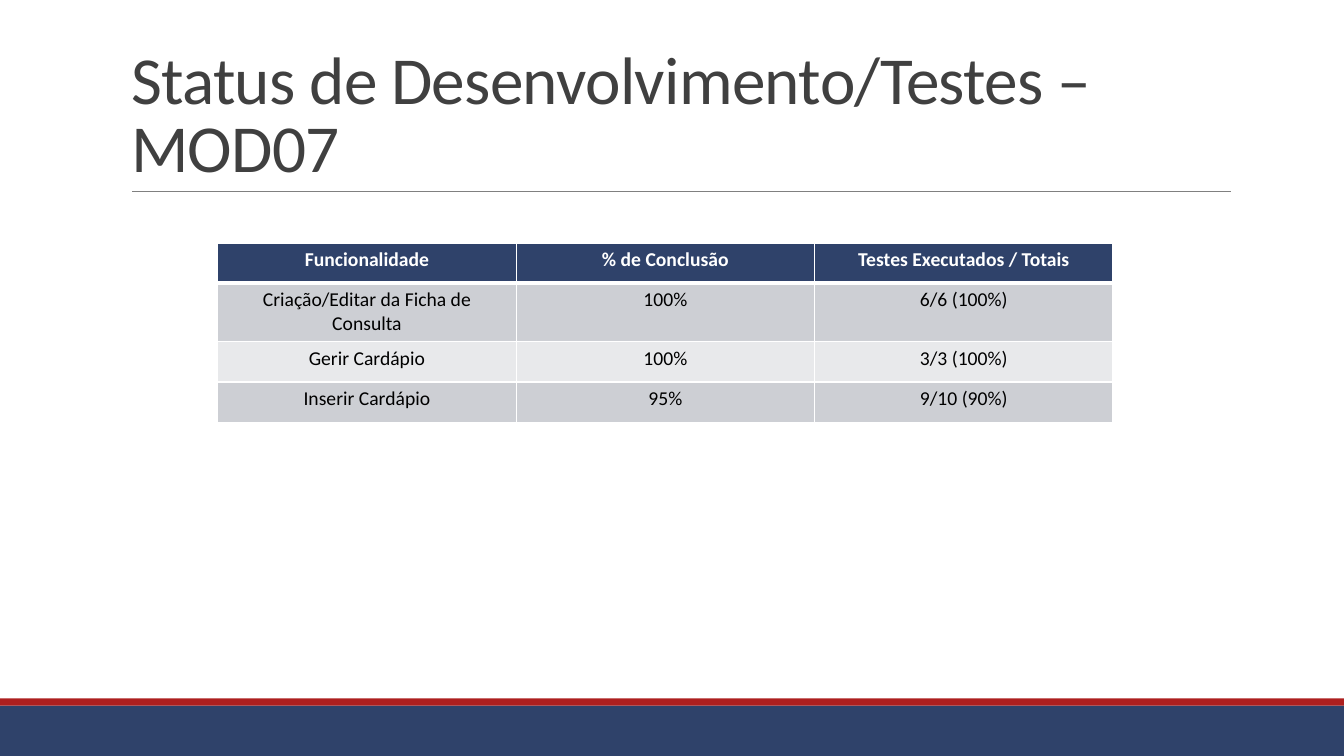
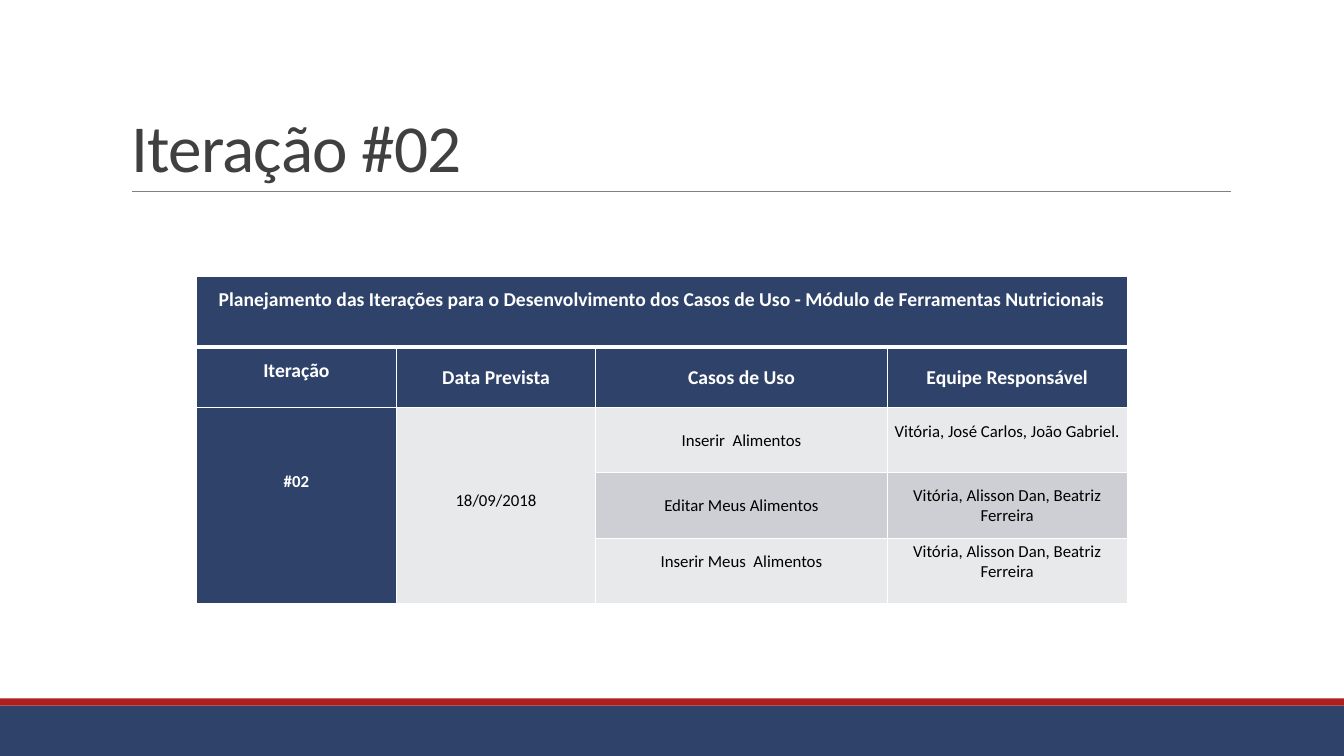
from lxml import etree
from pptx import Presentation
from pptx.dml.color import RGBColor
from pptx.enum.shapes import MSO_CONNECTOR as Connector, MSO_SHAPE as Shape
from pptx.enum.text import MSO_ANCHOR as Anchor, MSO_AUTO_SIZE as AutoSize, PP_ALIGN as Align
from pptx.oxml.ns import qn
from pptx.util import Inches, Pt

NAVY, RED, GRAY, TITLE = "2F426A", "AD1F1F", "808080", "404040"
WHITE, BLACK, DARK_BAND, LIGHT_BAND = "FFFFFF", "000000", "CDCFD4", "E8E9EB"
FONT = "Calibri"
SLIDE_WIDTH, SLIDE_HEIGHT = 13.33, 7.5


def color(value):
    return RGBColor.from_string(value)


class Deck:
    """Hold the shared style and the slide being built."""

    def __init__(self):
        self.presentation = Presentation()
        self.presentation.slide_width = Inches(SLIDE_WIDTH)
        self.presentation.slide_height = Inches(SLIDE_HEIGHT)
        self.slide = None

    def add_slide(self, title):
        layout = self.presentation.slide_layouts[5]
        self.slide = self.presentation.slides.add_slide(layout)
        self.band(7, 0.5, NAVY)
        self.band(6.93, 0.07, RED)
        self.rule(1.31, 12.21, 1.9)
        self.title(title)

    def band(self, top, height, fill):
        shape = self.slide.shapes.add_shape(
            Shape.RECTANGLE, 0, Inches(top), Inches(SLIDE_WIDTH), Inches(height))
        shape.shadow.inherit = False
        shape.fill.solid()
        shape.fill.fore_color.rgb = color(fill)
        shape.line.fill.background()

    def rule(self, left, right, top):
        line = self.slide.shapes.add_connector(
            Connector.STRAIGHT, Inches(left), Inches(top), Inches(right), Inches(top))
        line.line.color.rgb = color(GRAY)
        line.line.width = Pt(0.5)
        etree.SubElement(line._element.spPr, qn("a:effectLst"))

    def title(self, text):
        shape = self.slide.shapes.title
        shape.left, shape.top = Inches(1.2), Inches(0.31)
        shape.width, shape.height = Inches(11), Inches(1.59)
        frame = shape.text_frame
        frame.word_wrap = True
        frame.auto_size = AutoSize.NONE
        frame.vertical_anchor = Anchor.BOTTOM
        paragraph = frame.paragraphs[0]
        paragraph.alignment = Align.LEFT
        paragraph.line_spacing = 0.85
        run = self.run(paragraph, text, 48, TITLE)
        run.font._element.set("spc", "-50")

    def run(self, paragraph, text, size, ink, bold=False):
        run = paragraph.add_run()
        run.text = text
        run.font.name = FONT
        run.font.size = Pt(size)
        run.font.bold = bold
        run.font.color.rgb = color(ink)
        return run

    def table(self, left, top, widths, heights):
        table = self.slide.shapes.add_table(
            len(heights), len(widths), Inches(left), Inches(top),
            Inches(sum(widths)), Inches(sum(heights))).table
        for column, width in zip(table.columns, widths):
            column.width = Inches(width)
        for row, height in zip(table.rows, heights):
            row.height = Inches(height)
        for index, row in enumerate(table.rows):
            for cell in row.cells:
                self.borders(cell, top=3 if index == 1 else 1, bottom=3 if index == 0 else 1)
        return table

    def borders(self, cell, top, bottom):
        properties = cell._tc.get_or_add_tcPr()
        for tag, width in (("a:lnL", 1), ("a:lnR", 1), ("a:lnT", top), ("a:lnB", bottom)):
            line = etree.SubElement(properties, qn(tag), w=str(Pt(width)))
            fill = etree.SubElement(line, qn("a:solidFill"))
            etree.SubElement(fill, qn("a:srgbClr"), val=WHITE)

    def cell(self, cell, text, fill, size=14, anchor=Anchor.TOP, spacing=1.0,
             margins=(0.1, 0.05, 0.1, 0.05)):
        cell.fill.solid()
        cell.fill.fore_color.rgb = color(fill)
        cell.vertical_anchor = anchor
        (cell.margin_left, cell.margin_top,
         cell.margin_right, cell.margin_bottom) = map(Inches, margins)
        paragraph = cell.text_frame.paragraphs[0]
        paragraph.alignment = Align.CENTER
        paragraph.line_spacing = spacing
        heading = fill == NAVY
        self.run(paragraph, text, size, WHITE if heading else BLACK, heading)

    def middle_cell(self, cell, text, fill, size=12, lift=0):
        """Center the text in the cell, raised by half of lift."""
        self.cell(cell, text, fill, size, Anchor.MIDDLE, margins=(0.01, 0.01, 0.01, lift))


def status_slide(deck):
    deck.add_slide("Status de Desenvolvimento/Testes – MOD07")
    rows = [
        ("Funcionalidade", "% de Conclusão", "Testes Executados / Totais"),
        ("Criação/Editar da Ficha de Consulta", "100%", "6/6 (100%)"),
        ("Gerir Cardápio", "100%", "3/3 (100%)"),
        ("Inserir Cardápio", "95%", "9/10 (90%)"),
    ]
    fills = [NAVY, DARK_BAND, LIGHT_BAND, DARK_BAND]
    table = deck.table(2.16, 2.41, [2.96] * 3, [0.4, 0.58, 0.4, 0.4])
    for row, texts, fill in zip(table.rows, rows, fills):
        for cell, text in zip(row.cells, texts):
            deck.cell(cell, text, fill)


def iteration_slide(deck):
    deck.add_slide("Iteração #02")
    table = deck.table(1.95, 2.74, [1.98, 1.98, 2.89, 2.38], [0.7, 0.6, 0.65, 0.65, 0.65])
    table.cell(0, 0).merge(table.cell(0, 3))
    for column in (0, 1):
        table.cell(2, column).merge(table.cell(4, column))

    deck.cell(table.cell(0, 0),
              "Planejamento das Iterações para o Desenvolvimento dos Casos de Uso"
              " - Módulo de Ferramentas Nutricionais",
              NAVY, spacing=1.5, margins=(0.07, 0, 0.07, 0))
    headings = [("Iteração", 0.13), ("Data Prevista", 0), ("Casos de Uso", 0),
                ("Equipe Responsável", 0)]
    for column, (text, lift) in enumerate(headings):
        deck.middle_cell(table.cell(1, column), text, NAVY, 14, lift)

    deck.middle_cell(table.cell(2, 0), "#02", NAVY, lift=0.49)
    deck.middle_cell(table.cell(2, 1), "18/09/2018", LIGHT_BAND, lift=0.11)
    use_cases = [
        ("Inserir  Alimentos", 0, "Vitória, José Carlos, João Gabriel.", 0.18, LIGHT_BAND),
        ("Editar Meus Alimentos", 0, "Vitória, Alisson Dan, Beatriz Ferreira", 0, DARK_BAND),
        ("Inserir Meus  Alimentos", 0.19, "Vitória, Alisson Dan, Beatriz Ferreira", 0.19,
         LIGHT_BAND),
    ]
    for row, (use_case, case_lift, team, team_lift, fill) in enumerate(use_cases, 2):
        deck.middle_cell(table.cell(row, 2), use_case, fill, lift=case_lift)
        deck.middle_cell(table.cell(row, 3), team, fill, lift=team_lift)


def main():
    deck = Deck()
    status_slide(deck)
    iteration_slide(deck)
    deck.presentation.save("out.pptx")


if __name__ == "__main__":
    main()
